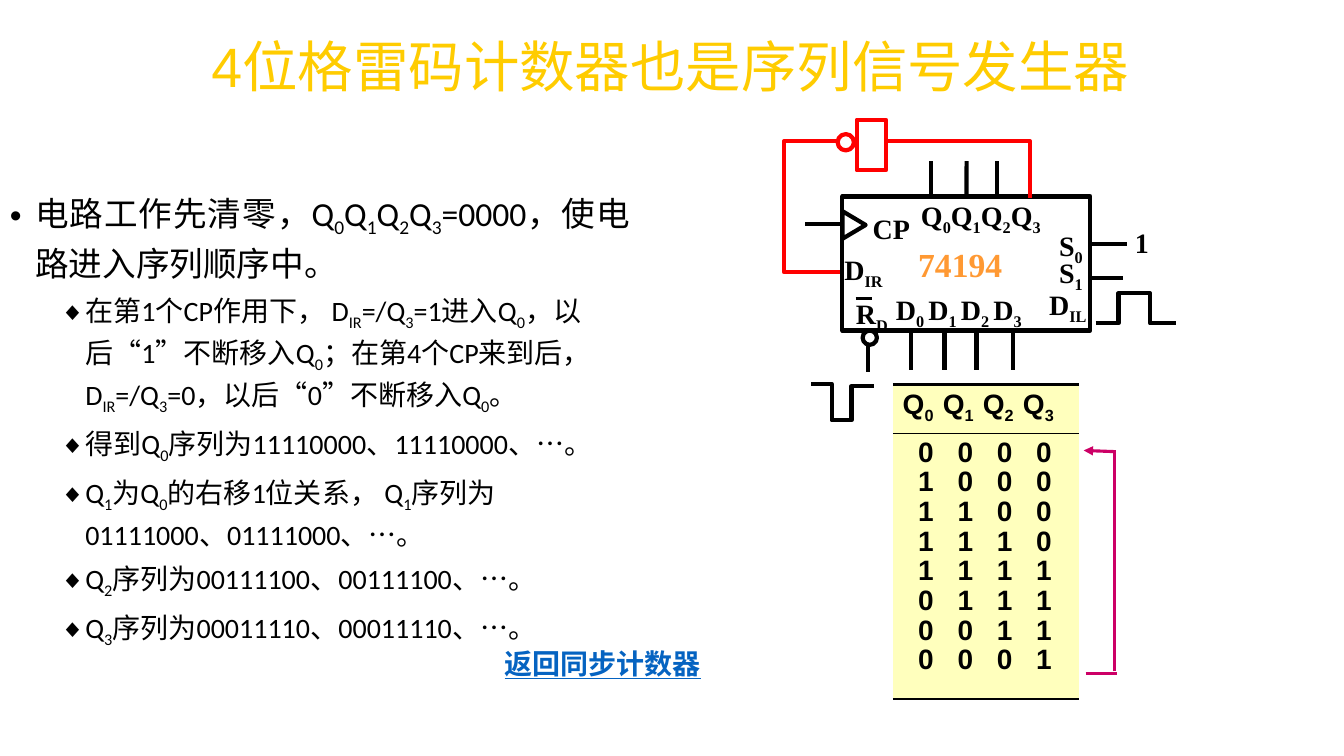
import dataclasses

import lxml.etree
import pptx
import pptx.dml.color
import pptx.enum.shapes
import pptx.enum.text
import pptx.oxml.ns
import pptx.util

Cm, Pt = pptx.util.Cm, pptx.util.Pt
Shape = pptx.enum.shapes.MSO_SHAPE
Align = pptx.enum.text.PP_ALIGN
HUES = {"black": "000000", "gold": "FFCC00", "red": "FF0000", "orange": "FF9933",
        "pink": "CC0066", "blue": "0563C1", "cream": "FFFFBD"}
SERIF = "Times New Roman"


@dataclasses.dataclass
class Style:
    size: float = 20
    face: str = SERIF
    hue: str = "black"
    bold: bool = True
    line: bool = False


@dataclasses.dataclass
class Label:
    text: str
    left: float
    top: float
    width: float
    height: float = 1.09
    style: Style = dataclasses.field(default_factory=Style)
    wrap: bool = True
    align: Align = Align.LEFT
    space: float = 1.0
    middle: bool = False


@dataclasses.dataclass
class Part:
    kind: Shape
    left: float
    top: float
    width: float
    height: float
    hue: str = "black"
    turn: float = 0


@dataclasses.dataclass
class Wire:
    start: tuple
    end: tuple
    hue: str = "black"
    weight: float = 3
    arrow: bool = False


@dataclasses.dataclass
class Trace:
    points: list
    hue: str = "black"


def tint(name: str) -> pptx.dml.color.RGBColor:
    return pptx.dml.color.RGBColor.from_string(HUES[name])


def add(parent, tag: str, **attrs: str):
    return lxml.etree.SubElement(parent, pptx.oxml.ns.qn(tag), attrs)


def write(para, text: str, style: Style) -> None:
    """Fill a paragraph; every second piece between bars is a subscript."""
    for i, piece in enumerate(text.split("|")):
        if piece:
            run = para.add_run()
            run.text = piece
            if i % 2:
                run.font._rPr.set("baseline", "-25000")
    font = para.font
    font.size, font.name, font.bold = Pt(style.size), style.face, style.bold
    font.underline = style.line
    font.color.rgb = tint(style.hue)


def draw_label(slide, label: Label) -> None:
    box = slide.shapes.add_textbox(Cm(label.left), Cm(label.top), Cm(label.width), Cm(label.height))
    frame = box.text_frame
    frame.word_wrap = label.wrap
    if label.middle:
        frame.vertical_anchor = pptx.enum.text.MSO_ANCHOR.MIDDLE
    para = frame.paragraphs[0]
    para.alignment, para.line_spacing = label.align, label.space
    write(para, label.text, label.style)


def draw_list(slide, items: list) -> None:
    frame = slide.shapes.add_textbox(Cm(0), Cm(4.62), Cm(16.13), Cm(11.48)).text_frame
    frame.word_wrap = True
    for i, text in enumerate(items):
        para = frame.add_paragraph() if i else frame.paragraphs[0]
        para.line_spacing = 1.1
        props = para._p.get_or_add_pPr()
        props.set("marL", str(Cm(1.9 if i else 0.64)))
        props.set("indent", str(Cm(-0.64)))
        if i:
            para.level, para.space_before = 1, Pt(5)
            add(props, "a:buSzPct", val="90000")
        else:
            para.alignment = Align.JUSTIFY
        add(props, "a:buFont", typeface="Arial")
        add(props, "a:buChar", char="◆" if i else "•")
        write(para, text, Style(20 if i else 24, "Calibri", bold=False))


def stroke(shape, hue: str, weight: float = 3) -> None:
    shape.line.color.rgb = tint(hue)
    shape.line.width = Pt(weight)


def clear(shape, hue: str) -> None:
    """Leave only the outline of a shape."""
    shape.shadow.inherit = False
    shape.fill.background()
    stroke(shape, hue)


def draw_part(slide, part: Part):
    shape = slide.shapes.add_shape(part.kind, Cm(part.left), Cm(part.top), Cm(part.width), Cm(part.height))
    shape.rotation = part.turn
    clear(shape, part.hue)
    return shape


def draw_wire(slide, wire: Wire):
    link = slide.shapes.add_connector(pptx.enum.shapes.MSO_CONNECTOR.STRAIGHT,
                                      *map(Cm, wire.start + wire.end))
    stroke(link, wire.hue, wire.weight)
    if wire.arrow:
        add(link.line._get_or_add_ln(), "a:tailEnd", type="triangle")
    add(link._element.spPr, "a:effectLst")
    return link


def draw_trace(slide, trace: Trace) -> None:
    points = [(Cm(x), Cm(y)) for x, y in trace.points]
    path = slide.shapes.build_freeform(*points[0])
    path.add_line_segments(points[1:], close=False)
    clear(path.convert_to_shape(), trace.hue)


def fill_cell(cell, lines: list, left: float, step: float, space: float, top: float, base: float) -> None:
    """Write tabbed lines; top and base are border widths in points."""
    cell.margin_left = Cm(left)
    for i, text in enumerate(lines):
        para = cell.text_frame.paragraphs[0] if not i else cell.text_frame.add_paragraph()
        para.line_spacing = space
        tabs = add(para._p.get_or_add_pPr(), "a:tabLst")
        for n in range(1, 4):
            add(tabs, "a:tab", pos=str(Cm(n * step)), algn="l")
        write(para, text, Style(face="Arial"))
    props = cell._tc.get_or_add_tcPr()
    for side, weight in zip("LRTB", (0, 0, top, base)):
        edge = add(props, f"a:ln{side}", w=str(Pt(weight)))
        if weight:
            add(add(edge, "a:solidFill"), "a:srgbClr", val=HUES["black"])
        else:
            add(edge, "a:noFill")
    cell.fill.solid()
    cell.fill.fore_color.rgb = tint("cream")


def draw_states(slide) -> None:
    table = slide.shapes.add_table(2, 1, Cm(22.5), Cm(9.68), Cm(4.7), Cm(7.92)).table
    table.first_row = table.horz_banding = False
    table.rows[0].height, table.rows[1].height = Cm(1.24), Cm(6.68)
    states = ["0000", "1000", "1100", "1110", "1111", "0111", "0011", "0001"]
    fill_cell(table.cell(0, 0), ["\t".join(f"Q|{n}|" for n in range(4))], 0.25, 1.01, 1.0, 2.25, 1)
    fill_cell(table.cell(1, 0), ["\t".join(bits) for bits in states], 0.64, 0.99, 0.95, 1, 2.25)


ITEMS = [
    "电路工作先清零，Q|0|Q|1|Q|2|Q|3|=0000，使电路进入序列顺序中。",
    "在第1个CP作用下， D|IR|=/Q|3|=1进入Q|0|，以后“1”不断移入Q|0|；"
    "在第4个CP来到后， D|IR|=/Q|3|=0，以后“0”不断移入Q|0|。",
    "得到Q|0|序列为11110000、11110000、…。",
    "Q|1|为Q|0|的右移1位关系， Q|1|序列为01111000、01111000、…。",
    "Q|2|序列为00111100、00111100、…。",
    "Q|3|序列为00011110、00011110、…。",
]
LABELS = [
    Label("4位格雷码计数器也是序列信号发生器", 5.08, 0.91, 28.12, 1.7,
          Style(39.6, "Arial", "gold", False), space=0.9, middle=True),
    Label("CP", 21.74, 5.21, 1.65),
    Label("Q|0|Q|1|Q|2|Q|3|", 22.96, 4.88, 4.45),
    Label("D|IR|", 21.03, 6.25, 1.7),
    Label("D|IL|", 26.19, 7.11, 1.8),
    Label("S|0|", 26.44, 5.64, 1.3),
    Label("S|1|", 26.44, 6.32, 1.3),
    Label("D|0 |D|1 |D|2 |D|3|", 22.33, 7.24, 4.45),
    Label("1", 28.35, 5.56, 1.24),
    Label("74194", 22.89, 6.02, 4.32, 1.27, Style(24, hue="orange")),
    Label("R|D|", 21.29, 7.37, 1.37, 1.02, wrap=False, align=Align.CENTER, space=0.9),
    Label("返回同步计数器", 12.42, 16.26, 5.54, 1.02, Style(hue="blue", line=True),
          False, Align.CENTER, 0.9),
]
CHIP = Part(Shape.RECTANGLE, 21.23, 4.95, 6.25, 3.38)
PARTS = [
    Part(Shape.ISOSCELES_TRIANGLE, 21.18, 5.38, 0.69, 0.58, turn=90),
    Part(Shape.OVAL, 21.74, 8.33, 0.36, 0.36),
    Part(Shape.RECTANGLE, 21.59, 3.02, 0.74, 1.27, "red"),
    Part(Shape.OVAL, 21.11, 3.38, 0.41, 0.41, "red"),
]
WIRES = [Wire((x, 8.33), (x, 9.32)) for x in (22.96, 23.8, 24.61, 25.53)]
WIRES += [Wire((x, 4.93), (x, 4.06)) for x in (23.47, 25.12)]
WIRES += [
    Wire((21.18, 5.64), (20.29, 5.64)),
    Wire((21.87, 8.71), (21.87, 9.37)),
    Wire((28.4, 6.15), (27.51, 6.15)),
    Wire((28.3, 7.01), (27.43, 7.01)),
    Wire((21.56, 7.52), (21.97, 7.52), weight=2.25),
    Wire((27.36, 16.97), (28.14, 16.97), "pink", 2.25),
    Wire((28.09, 16.92), (28.09, 11.33), "pink", 2.25),
    Wire((28.09, 11.38), (27.31, 11.35), "pink", 2.25, True),
]
TRACES = [
    Trace([(20.45, 9.68), (20.96, 9.68), (20.96, 10.59), (21.46, 10.59), (21.46, 9.73), (22.02, 9.73)]),
    Trace([(27.61, 8.15), (28.19, 8.15), (28.19, 7.39), (28.98, 7.39), (28.98, 8.15), (29.64, 8.15)]),
    Trace([(22.33, 3.56), (25.96, 3.56), (25.96, 4.98)], "red"),
    Trace([(21.13, 3.56), (19.76, 3.56), (19.76, 6.86), (21.18, 6.86)], "red"),
]


def main() -> None:
    deck = pptx.Presentation()
    deck.slide_width, deck.slide_height = Cm(33.87), Cm(19.05)
    slide = deck.slides.add_slide(deck.slide_layouts[6])
    draw_list(slide, ITEMS)
    chip = draw_part(slide, CHIP)
    draw_wire(slide, Wire((24.36, 4.95), (24.36, 4.06))).begin_connect(chip, 0)
    for draw, group in ((draw_part, PARTS), (draw_wire, WIRES), (draw_trace, TRACES), (draw_label, LABELS)):
        for item in group:
            draw(slide, item)
    draw_states(slide)
    deck.save("out.pptx")


if __name__ == "__main__":
    main()
